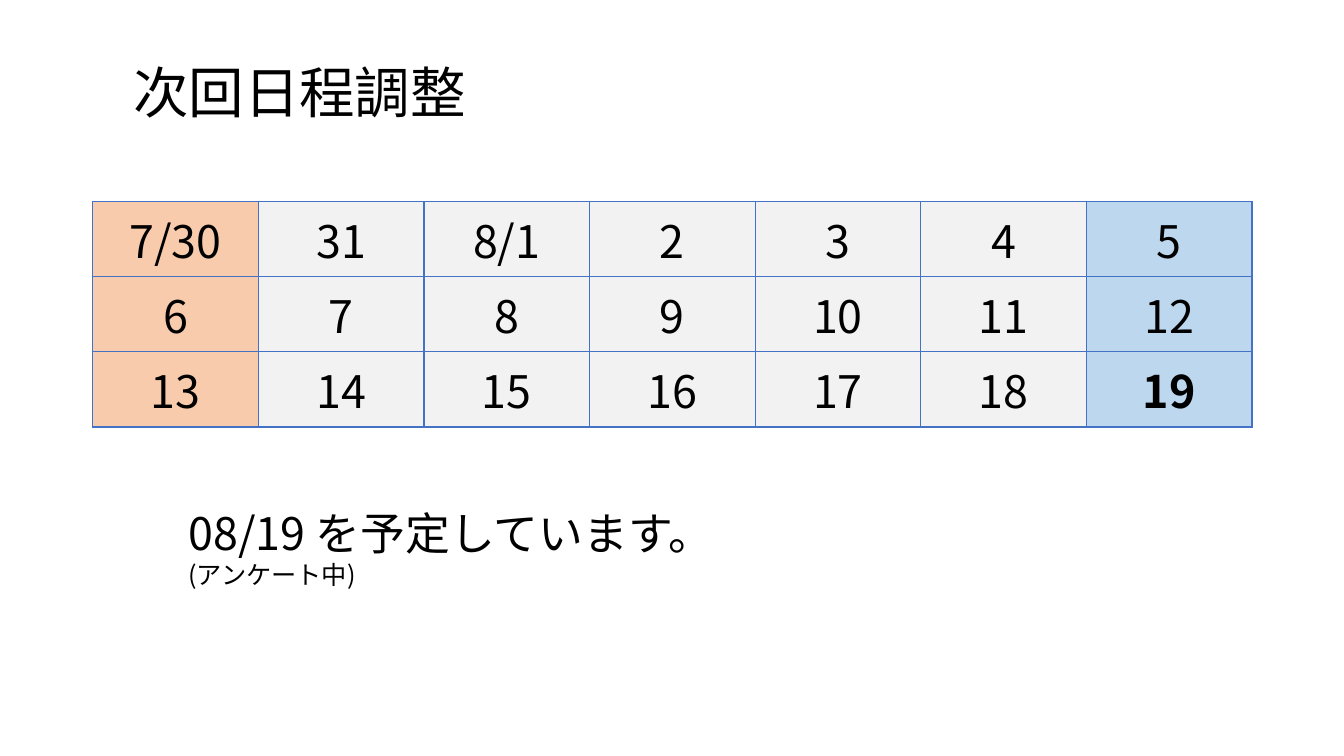
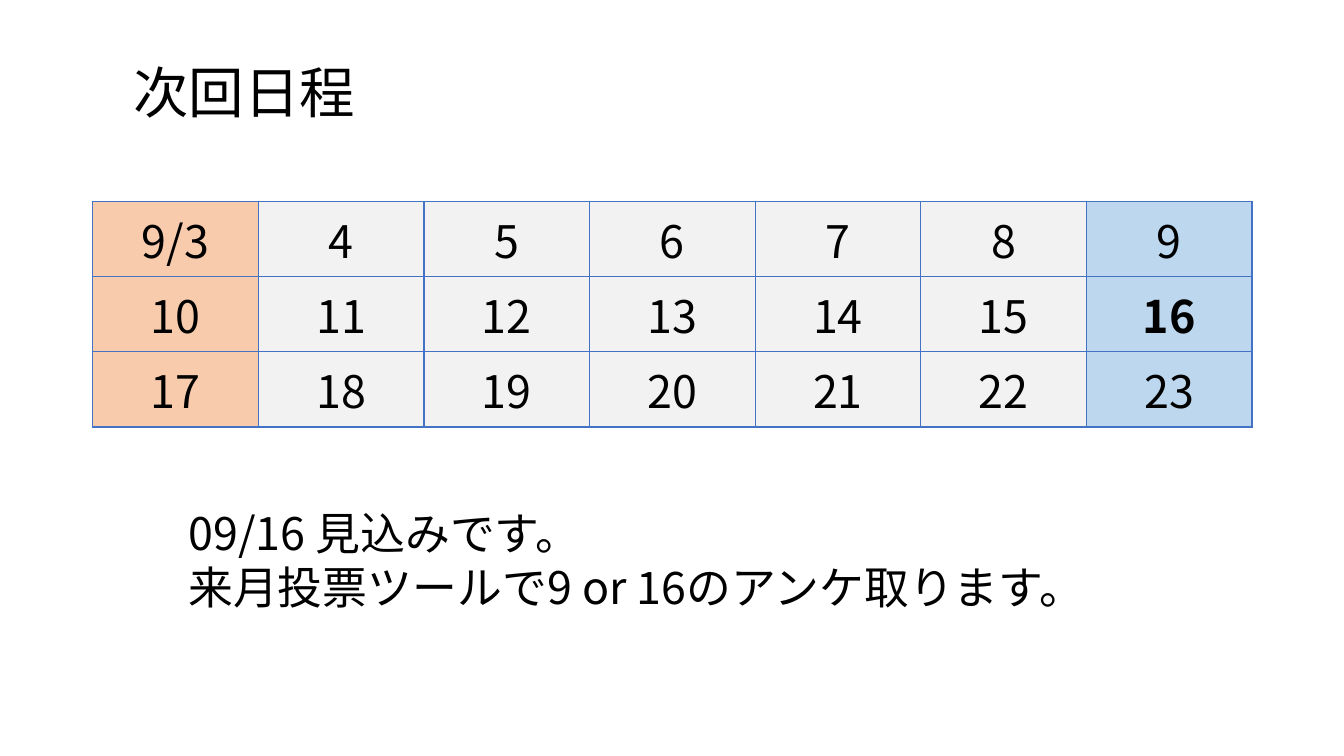
from lxml import etree
from pptx import Presentation
from pptx.dml.color import RGBColor
from pptx.enum.text import MSO_ANCHOR, MSO_AUTO_SIZE, PP_ALIGN
from pptx.oxml.ns import qn
from pptx.util import Inches, Pt

FONT = "Noto Sans CJK JP"
BLACK = RGBColor(0x00, 0x00, 0x00)
SUNDAY = RGBColor(0xF8, 0xCB, 0xAD)
WEEKDAY = RGBColor(0xF2, 0xF2, 0xF2)
SATURDAY = RGBColor(0xBD, 0xD7, 0xEE)
BORDER = RGBColor(0x44, 0x72, 0xC4)

DAY_FILLS = [SUNDAY] + [WEEKDAY] * 5 + [SATURDAY]
DAYS_PER_WEEK = len(DAY_FILLS)
TITLE_ONLY = 5
TITLE_SIZE = 39.6
BODY_SIZE = 32
SMALL_SIZE = 18

MIDDLE = MSO_ANCHOR.MIDDLE
LEFT, CENTER = PP_ALIGN.LEFT, PP_ALIGN.CENTER
NO_AUTOFIT = MSO_AUTO_SIZE.NONE
GROW = MSO_AUTO_SIZE.SHAPE_TO_FIT_TEXT


def add_run(paragraph, text, size, bold=False):
    """Add a black run whose font also covers East Asian characters."""
    run = paragraph.add_run()
    run.text = text
    font = run.font
    font.size = Pt(size)
    font.bold = bold
    font.color.rgb = BLACK
    font.name = FONT
    east_asian = etree.Element(qn("a:ea"), typeface=FONT)
    font._element.find(qn("a:latin")).addnext(east_asian)


def set_title(slide, text):
    title = slide.shapes.title
    title.left, title.top = Inches(1.22), Inches(0.6)
    title.width, title.height = Inches(11.12), Inches(0.69)
    frame = title.text_frame
    frame.auto_size = NO_AUTOFIT
    frame.vertical_anchor = MIDDLE
    paragraph = frame.paragraphs[0]
    paragraph.alignment = LEFT
    paragraph.line_spacing = 0.9
    add_run(paragraph, text, TITLE_SIZE)


def set_borders(cell):
    properties = cell._tc.get_or_add_tcPr()
    for position, side in enumerate(("lnL", "lnR", "lnT", "lnB")):
        line = etree.Element(qn(f"a:{side}"), w=str(Pt(1)))
        fill = etree.SubElement(line, qn("a:solidFill"))
        etree.SubElement(fill, qn("a:srgbClr"), val=str(BORDER))
        properties.insert(position, line)


def add_calendar(slide, days, chosen_day):
    """Lay the days out in weeks from Sunday, with the chosen day in bold."""
    weeks = len(days) // DAYS_PER_WEEK
    calendar = slide.shapes.add_table(
        weeks, DAYS_PER_WEEK,
        Inches(0.92), Inches(2), Inches(11.5), Inches(0.7 * weeks),
    ).table
    for index, day in enumerate(days):
        week, weekday = divmod(index, DAYS_PER_WEEK)
        cell = calendar.cell(week, weekday)
        cell.fill.solid()
        cell.fill.fore_color.rgb = DAY_FILLS[weekday]
        cell.vertical_anchor = MIDDLE
        set_borders(cell)
        paragraph = cell.text_frame.paragraphs[0]
        paragraph.alignment = CENTER
        add_run(paragraph, str(day), BODY_SIZE, bold=day == chosen_day)


def add_note(slide, lines, height):
    """Add a text box with one paragraph for each (text, size) pair."""
    note = slide.shapes.add_textbox(
        Inches(1.77), Inches(4.97), Inches(10.17), Inches(height))
    frame = note.text_frame
    frame.word_wrap = True
    frame.auto_size = GROW
    for index, (text, size) in enumerate(lines):
        paragraph = frame.add_paragraph() if index else frame.paragraphs[0]
        add_run(paragraph, text, size)


def add_schedule_slide(prs, title, days, chosen_day, note_lines, note_height):
    slide = prs.slides.add_slide(prs.slide_layouts[TITLE_ONLY])
    set_title(slide, title)
    add_calendar(slide, days, chosen_day)
    add_note(slide, note_lines, note_height)


def main():
    prs = Presentation()
    prs.slide_width, prs.slide_height = Inches(13.33), Inches(7.5)
    add_schedule_slide(
        prs, "次回日程調整", ["7/30", 31, "8/1", *range(2, 20)], 19,
        [("08/19 を予定しています。", BODY_SIZE), ("(アンケート中)", SMALL_SIZE)],
        0.94,
    )
    add_schedule_slide(
        prs, "次回日程", ["9/3", *range(4, 24)], 16,
        [("09/16 見込みです。", BODY_SIZE),
         ("来月投票ツールで9 or 16のアンケ取ります。", BODY_SIZE)],
        1.18,
    )
    prs.save("out.pptx")


if __name__ == "__main__":
    main()
